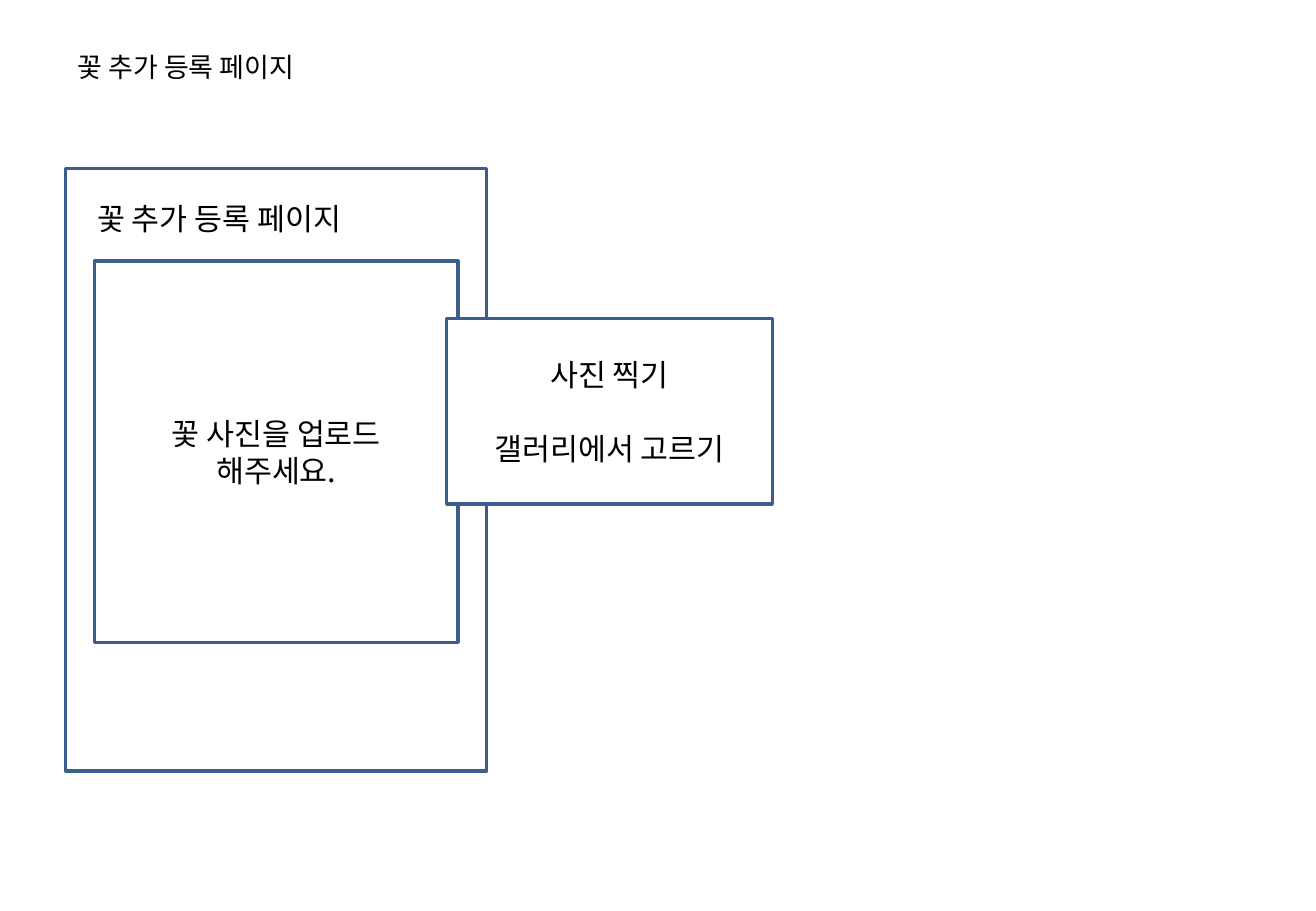
from lxml import etree
from pptx import Presentation
from pptx import util as u
from pptx.dml.color import RGBColor
from pptx.enum import shapes, text
from pptx.oxml.ns import qn

COLORS = {"paper": "FFFFFF", "frame": "3A5F8C", "ink": "000000"}
FONT = "Noto Sans CJK KR"
LINE_RATIO = 1.22  # line height relative to the text size


def color(name):
    return RGBColor.from_string(COLORS[name])


def write(frame, lines, size=18, align=text.PP_ALIGN.LEFT,
          anchor=text.MSO_ANCHOR.TOP, gap=0):
    """Fill a text frame, one paragraph per line, with gap points between."""
    frame.word_wrap = True
    frame.vertical_anchor = anchor
    for index, line in enumerate(lines):
        paragraph = frame.add_paragraph() if index else frame.paragraphs[0]
        paragraph.alignment = align
        paragraph.line_spacing = u.Pt(size * LINE_RATIO)
        if index and gap:
            paragraph.space_before = u.Pt(gap)
        run = paragraph.add_run()
        run.text = line
        run.font.size = u.Pt(size)
        run.font.color.rgb = color("ink")
        run.font.name = FONT
        # Korean letters take the East Asian typeface
        etree.SubElement(run.font._element, qn("a:ea"), typeface=FONT)


def add_label(slide, left, top, width, height, label, **style):
    box = slide.shapes.add_textbox(*map(u.Pt, (left, top, width, height)))
    write(box.text_frame, [label], **style)


def add_panel(slide, left, top, width, height, lines=(), **style):
    panel = slide.shapes.add_shape(
        shapes.MSO_SHAPE.RECTANGLE, *map(u.Pt, (left, top, width, height)))
    panel.shadow.inherit = False
    panel.fill.solid()
    panel.fill.fore_color.rgb = color("paper")
    panel.line.color.rgb = color("frame")
    panel.line.width = u.Pt(2)
    write(panel.text_frame, lines, align=text.PP_ALIGN.CENTER,
          anchor=text.MSO_ANCHOR.MIDDLE, **style)


def main():
    deck = Presentation()
    deck.slide_width, deck.slide_height = u.Pt(780), u.Pt(540)
    slide = deck.slides.add_slide(deck.slide_layouts[6])

    # Slide heading
    add_label(slide, 39, 26, 702, 456.5, "꽃 추가 등록 페이지", size=16)

    # App screen with its title and upload area
    add_panel(slide, 39, 100, 249.5, 357)
    add_label(slide, 50.5, 114.5, 209.5, 29, "꽃 추가 등록 페이지")
    add_panel(slide, 56, 154.75, 215.5, 226,
              ["꽃 사진을 업로드", "해주세요."])

    # Pop-up with the photo choices
    add_panel(slide, 264.75, 188.75, 193, 110,
              ["사진 찍기", "갤러리에서 고르기"], gap=21.6)

    deck.save("out.pptx")


if __name__ == "__main__":
    main()
